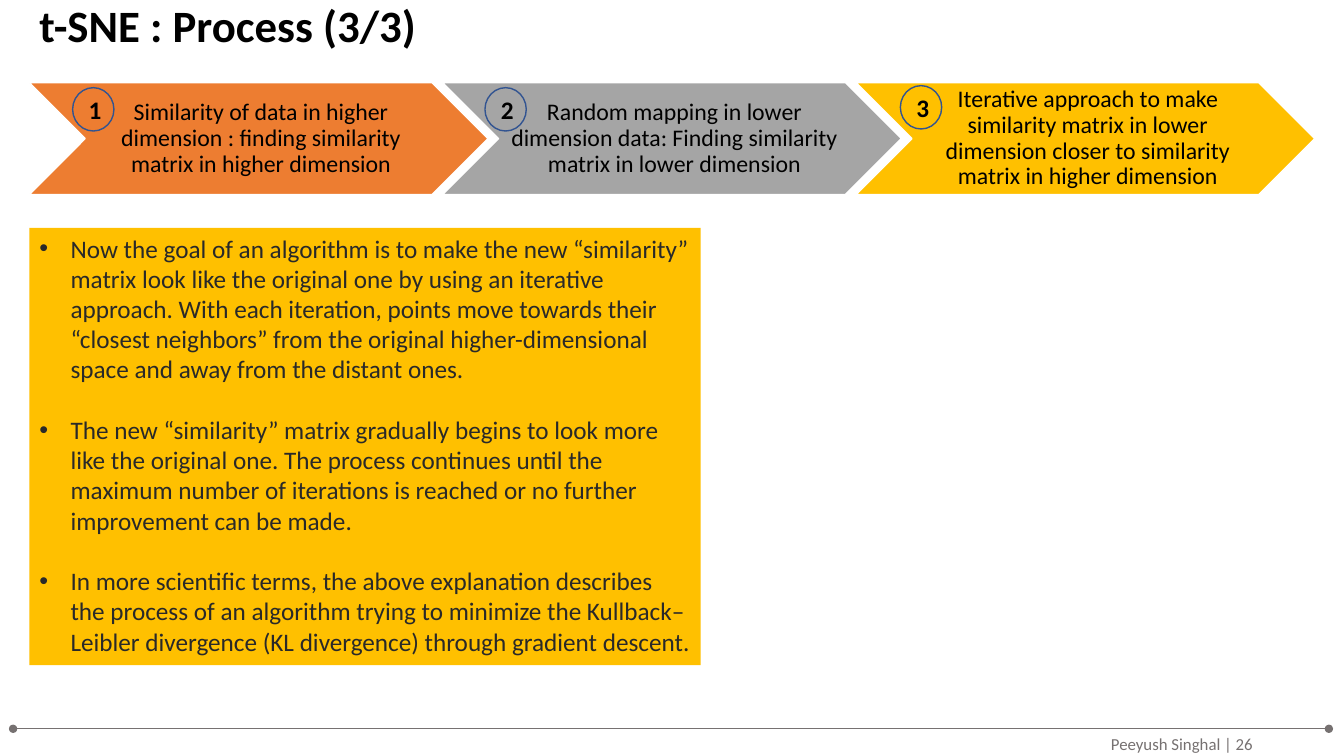
"""Build the third t-SNE process slide."""
from dataclasses import dataclass

from lxml import etree
from pptx import Presentation, util as u
from pptx.dml.color import RGBColor
from pptx.enum import shapes, text
from pptx.oxml.ns import qn

TITLE = "t-SNE : Process (3/3)"
FOOTER = "Peeyush Singhal | 26"
STEPS = [
    ("Similarity of data in higher dimension : finding similarity matrix in higher dimension",
     "ED7D31", (0.72, 0.87)),
    ("Random mapping in lower dimension data: Finding similarity matrix in lower dimension",
     "A5A5A5", (4.81, 0.87)),
    ("Iterative approach to make similarity matrix in lower dimension closer to "
     "similarity matrix in higher dimension", "FFC000", (8.93, 0.85)),
]
POINTS = [
    "Now the goal of an algorithm is to make the new “similarity” matrix look like the "
    "original one by using an iterative approach. With each iteration, points move towards "
    "their “closest neighbors” from the original higher-dimensional space and away from the "
    "distant ones.",
    "The new “similarity” matrix gradually begins to look more like the original one. The "
    "process continues until the maximum number of iterations is reached or no further "
    "improvement can be made.",
    "In more scientific terms, the above explanation describes the process of an algorithm "
    "trying to minimize the Kullback–Leibler divergence (KL divergence) through gradient "
    "descent.",
]


@dataclass(frozen=True)
class Theme:
    """Hold the colours and type sizes."""
    font: str = "Calibri"
    black: str = "000000"
    white: str = "FFFFFF"
    body: str = "292929"
    gray: str = "767171"
    ring: str = "325491"
    panel: str = "FFC000"
    head: int = 32
    point: int = 18
    step: int = 17
    foot: int = 12


T = Theme()
LEFT, TOP, WIDE, HIGH, PITCH = 0.29, 0.82, 4.55, 1.11, 4.1
HALF = HIGH / 2


def box(*nums):
    """Turn numbers into inch lengths."""
    return [u.Inches(n) for n in nums]


def place(item, *nums):
    """Move and size a shape."""
    item.left, item.top, item.width, item.height = box(*nums)


def paint(part, hue):
    """Fill a part with one solid colour."""
    part.fill.solid()
    part.fill.fore_color.rgb = RGBColor.from_string(hue)


def stroke(line, hue, size):
    """Set the colour and width of a line."""
    line.color.rgb = RGBColor.from_string(hue)
    line.width = u.Pt(size)


def frame(item, anchor, inset=(0.1, 0.05, 0.1, 0.05)):
    """Set up and return the text frame of a shape."""
    tf = item.text_frame
    tf.word_wrap, tf.auto_size = True, text.MSO_AUTO_SIZE.NONE
    tf.vertical_anchor = anchor
    tf.margin_left, tf.margin_top, tf.margin_right, tf.margin_bottom = box(*inset)
    return tf


def style(para, size, hue, bold=False, align=text.PP_ALIGN.LEFT, lead=1.0):
    """Format a paragraph."""
    para.alignment, para.line_spacing = align, lead
    para.font.name, para.font.size, para.font.bold = T.font, u.Pt(size), bold
    para.font.color.rgb = RGBColor.from_string(hue)


def add(slide, kind, *nums):
    """Add a preset shape with no shadow."""
    item = slide.shapes.add_shape(kind, *box(*nums))
    item.shadow.inherit = False
    return item


def draw_step(slide, num, label, hue, spot):
    """Draw one chevron with its label."""
    x = LEFT + num * PITCH
    arrow = add(slide, shapes.MSO_SHAPE.CHEVRON, x, TOP, WIDE, HIGH)
    paint(arrow, hue)
    stroke(arrow.line, T.white, 1)
    note = slide.shapes.add_textbox(*box(x + HALF, TOP, WIDE - 2 * HALF, HIGH))
    tf = frame(note, text.MSO_ANCHOR.MIDDLE, (0.07, 0.02, 0.02, 0.02))
    tf.text = label
    style(tf.paragraphs[0], T.step, T.black, align=text.PP_ALIGN.CENTER, lead=0.9)


def draw_ring(slide, num, spot):
    """Draw one numbered ring."""
    ring = add(slide, shapes.MSO_SHAPE.OVAL, *spot, 0.41, 0.43)
    ring.fill.background()
    stroke(ring.line, T.ring, 1)
    tf = frame(ring, text.MSO_ANCHOR.MIDDLE)
    tf.text = str(num + 1)
    style(tf.paragraphs[0], T.point, T.black, True, text.PP_ALIGN.CENTER)


def draw_foot(slide):
    """Draw the footer text and its rule."""
    note = slide.shapes.add_textbox(*box(10.92, 7.23, 2.21, 0.3))
    tf = frame(note, text.MSO_ANCHOR.TOP)
    tf.text = FOOTER
    style(tf.paragraphs[0], T.foot, T.gray)
    rule = slide.shapes.add_connector(
        shapes.MSO_CONNECTOR.STRAIGHT, *box(0.13, 7.23, 13.18, 7.23))
    stroke(rule.line, T.gray, 0.5)
    line = rule.line._get_or_add_ln()
    for end in ("a:headEnd", "a:tailEnd"):
        etree.SubElement(line, qn(end), type="oval")
    etree.SubElement(rule._element.spPr, qn("a:effectLst"))


def draw_list(body):
    """Fill the panel with bullet points."""
    place(body, LEFT, 2.26, 6.66, 4.34)
    paint(body, T.panel)
    tf = frame(body, text.MSO_ANCHOR.TOP)
    tf.text = "\n".join(POINTS)
    for i, para in enumerate(tf.paragraphs):
        props = para._p.get_or_add_pPr()
        props.set("marL", str(u.Inches(0.31)))
        props.set("indent", str(-u.Inches(0.31)))
        etree.SubElement(props, qn("a:buFont"), typeface="Arial")
        etree.SubElement(props, qn("a:buChar"), char="•")
        para.space_before = u.Pt(21.6 if i else 0)
        style(para, T.point, T.body)


def main():
    """Build and save the slide."""
    deck = Presentation()
    deck.slide_width, deck.slide_height = box(13.33, 7.5)
    slide = deck.slides.add_slide(deck.slide_layouts[1])
    title, body = slide.placeholders
    place(title, LEFT, 0.06, 11.5, 0.43)
    tf = frame(title, text.MSO_ANCHOR.MIDDLE)
    tf.text = TITLE
    style(tf.paragraphs[0], T.head, T.black, True, lead=0.9)
    draw_list(body)
    draw_foot(slide)
    for num, (label, hue, spot) in enumerate(STEPS):
        draw_step(slide, num, label, hue, spot)
    for num, (label, hue, spot) in enumerate(STEPS):
        draw_ring(slide, num, spot)
    deck.save("out.pptx")


if __name__ == "__main__":
    main()
